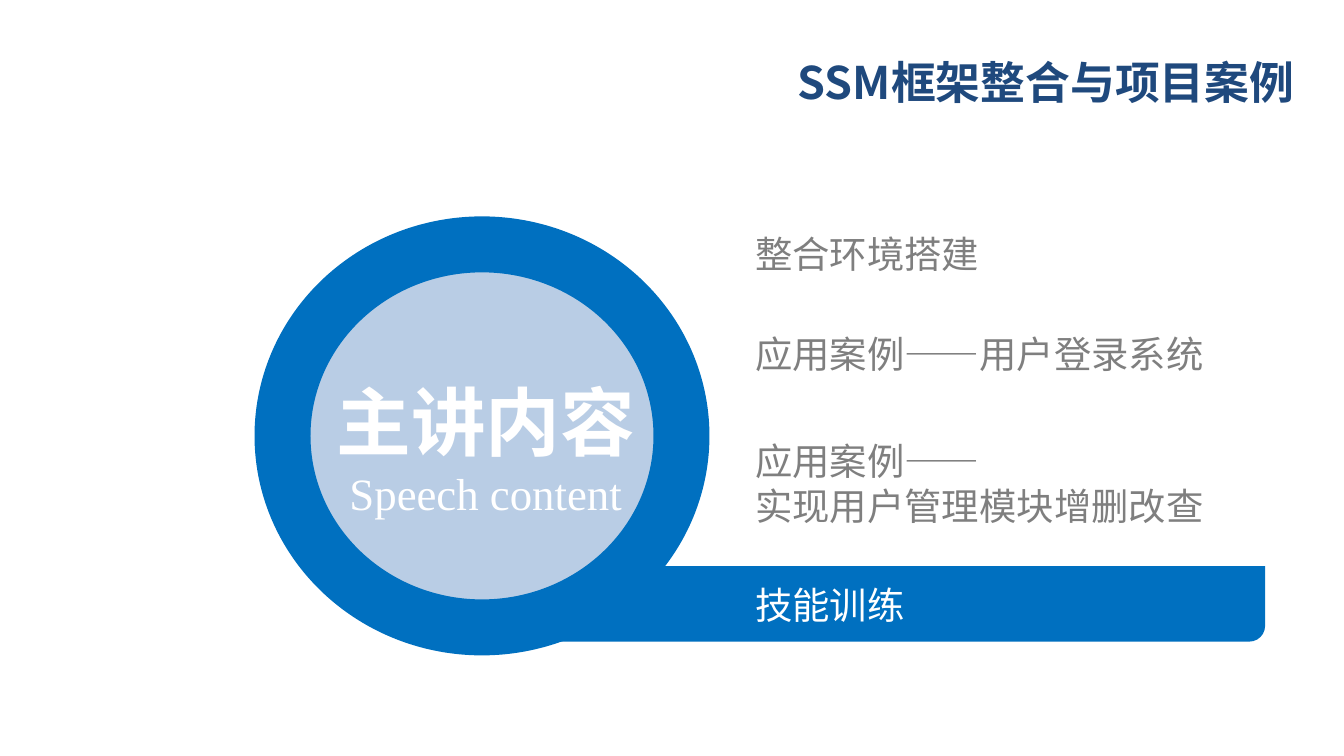
from lxml.etree import SubElement
from pptx import Presentation
from pptx.dml.color import RGBColor
from pptx.enum.shapes import MSO_SHAPE as Preset
from pptx.enum.text import MSO_ANCHOR as Anchor, PP_ALIGN as Align
from pptx.oxml.ns import qn
from pptx.util import Cm, Pt

COLORS = {
    "blue": "0070C0",
    "pale": "B9CDE5",
    "navy": "1F497D",
    "gray": "7F7F7F",
    "white": "FFFFFF",
}
CJK_FONT = "Noto Sans CJK SC"
LATIN_FONT = "Times New Roman"
TOPIC_LEFT = 14.27
LINE_HEIGHT = 0.85

# Top in cm, colour and lines of each topic
TOPICS = [
    (4.37, "gray", ["整合环境搭建"]),
    (6.25, "gray", ["应用案例——用户登录系统"]),
    (8.28, "gray", ["应用案例——", "实现用户管理模块增删改查"]),
    (11, "white", ["技能训练"]),
]


def color(name):
    return RGBColor.from_string(COLORS[name])


def add_filled_shape(shapes, preset, box, fill):
    shape = shapes.add_shape(preset, *map(Cm, box))
    shape.shadow.inherit = False
    shape.fill.solid()
    shape.fill.fore_color.rgb = color(fill)
    shape.line.fill.background()
    return shape


def add_text_frame(shapes, box, inset=True):
    frame = shapes.add_textbox(*map(Cm, box)).text_frame
    frame.word_wrap = True
    frame.vertical_anchor = Anchor.MIDDLE
    if not inset:
        frame.margin_left = frame.margin_right = 0
        frame.margin_top = frame.margin_bottom = 0
    return frame


def write_line(paragraph, text, size, fill, font=CJK_FONT, bold=False, align=Align.LEFT):
    paragraph.text = text
    paragraph.alignment = align
    paragraph.font.size = Pt(size)
    paragraph.font.bold = bold
    paragraph.font.color.rgb = color(fill)
    paragraph.font.name = font
    # East Asian text needs its own typeface element
    properties = paragraph._p.pPr.find(qn("a:defRPr"))
    SubElement(properties, qn("a:ea")).set("typeface", font)


def add_title(slide):
    frame = add_text_frame(slide.shapes, (14.25, 0.74, 10.46, 1.6))
    write_line(frame.paragraphs[0], "SSM框架整合与项目案例", 24, "navy",
               bold=True, align=Align.RIGHT)


def add_highlight_bar(slide):
    bar = add_filled_shape(slide.shapes, Preset.ROUND_2_DIAG_RECTANGLE,
                           (8.71, 10.7, 15.2, 1.43), "blue")
    bar.adjustments[0] = 0.21
    bar.adjustments[1] = 0


def add_badge(slide):
    group = slide.shapes.add_group_shape()
    circle = add_filled_shape(group.shapes, Preset.OVAL, (5.34, 4.62, 7.54, 7.24), "pale")
    circle.line.color.rgb = color("blue")
    circle.line.width = Pt(30)

    frame = add_text_frame(group.shapes, (5.28, 6.2, 7.8, 3.68))
    heading = frame.paragraphs[0]
    write_line(heading, "主讲内容", 40, "white", bold=True, align=Align.CENTER)
    heading.line_spacing = 1.5
    write_line(frame.add_paragraph(), "Speech content", 24, "white",
               font=LATIN_FONT, align=Align.CENTER)


def add_topic(slide, top, fill, lines):
    box = (TOPIC_LEFT, top, 10, LINE_HEIGHT * len(lines))
    frame = add_text_frame(slide.shapes, box, inset=False)
    for index, line in enumerate(lines):
        paragraph = frame.add_paragraph() if index else frame.paragraphs[0]
        write_line(paragraph, line, 20, fill)


def main():
    presentation = Presentation()
    presentation.slide_width = Cm(25.4)
    presentation.slide_height = Cm(14.29)
    slide = presentation.slides.add_slide(presentation.slide_layouts[6])

    # Bar first, so that the badge covers its left end
    add_highlight_bar(slide)
    add_badge(slide)
    for topic in TOPICS:
        add_topic(slide, *topic)
    add_title(slide)

    presentation.save("out.pptx")


if __name__ == "__main__":
    main()
